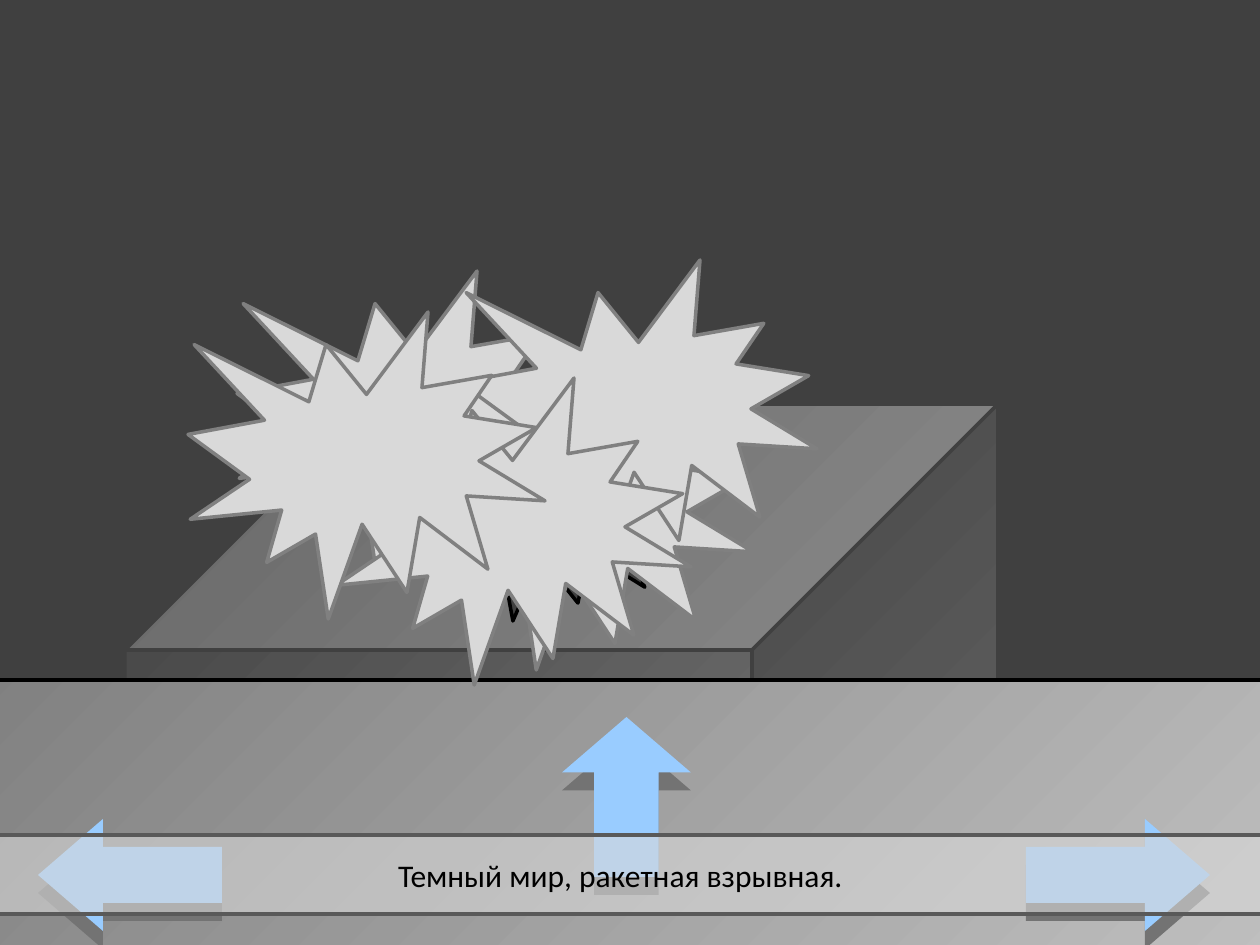
from pptx import Presentation, util as u
from pptx.dml.color import RGBColor
from pptx.enum import shapes, text
from pptx.oxml import parse_xml
from pptx.oxml.ns import nsdecls

PX = 914400 // 126
KIND = shapes.MSO_SHAPE
HUE = {
    "dark": "404040", "mid": "808080", "pale": "BFBFBF", "ash": "D9D9D9",
    "edge": "595959", "ink": "000000", "sky": "99CCFF", "depth": "737373",
}


def tint(name):
    """Return the named colour."""
    return RGBColor.from_string(HUE[name])


def add(slide, kind, box, fill, line=None):
    """Add a preset shape; a pair of fills makes a diagonal gradient."""
    item = slide.shapes.add_shape(kind, *(n * PX for n in box))
    item.shadow.inherit = False
    if isinstance(fill, tuple):
        item.fill.gradient()
        item.fill.gradient_angle = 135
        for stop, name in zip(item.fill.gradient_stops, fill):
            stop.color.rgb = tint(name)
    else:
        item.fill.solid()
        item.fill.fore_color.rgb = tint(fill)
    if line:
        item.line.color.rgb = tint(line)
        item.line.width = u.Pt(2)
    else:
        item.line.fill.background()
    return item


def room(slide, box):
    """Draw the stone block and the floor before it."""
    left, top, width, height = box
    cube = add(slide, KIND.CUBE, (left + 125, top + 404, 873, 703),
               ("mid", "dark"), "dark")
    cube.adjustments[0] = 0.35
    add(slide, KIND.RECTANGLE, (left - 35, top + 680, width + 49, 287),
        ("pale", "mid"), "ink")


def arrow(slide, kind, box, head):
    """Draw a raised arrow with its depth showing below."""
    left, top, width, height = box
    for drop, fill in ((18, "depth"), (0, "sky")):
        item = add(slide, kind, (left, top + drop, width, height), fill)
        item.adjustments[1] = head


def blast(slide, box):
    """Draw a dark burst under a cluster of equal pale bursts."""
    left, top, width, height = box
    add(slide, KIND.EXPLOSION1, (left + 209, top + 153, 295, 208),
        "dark", "ink")
    for x, y in ((49, 11), (208, 103), (272, 0), (146, 118), (0, 52)):
        add(slide, KIND.EXPLOSION1, (left + x, top + y, width, height),
            "ash", "mid")


def banner(slide, box, words):
    """Draw the translucent caption strip."""
    strip = add(slide, KIND.RECTANGLE, box, "ash", "edge")
    shade = strip.fill._xPr.find(".//{*}solidFill/{*}srgbClr")
    shade.append(parse_xml(f'<a:alpha {nsdecls("a")} val="60000"/>'))
    frame = strip.text_frame
    frame.text = words
    frame.word_wrap = True
    frame.vertical_anchor = text.MSO_ANCHOR.MIDDLE
    para = frame.paragraphs[0]
    para.alignment = text.PP_ALIGN.CENTER
    font = para.runs[0].font
    font.name = "Calibri"
    font.size = u.Pt(18)
    font.color.rgb = tint("ink")


def main():
    """Build and save the slide."""
    deck = Presentation()
    deck.slide_width, deck.slide_height = 1260 * PX, 945 * PX
    slide = deck.slides.add_slide(deck.slide_layouts[6])
    back = slide.background.fill
    back.solid()
    back.fore_color.rgb = tint("dark")
    room(slide, (0, 0, 1260, 945))
    arrow(slide, KIND.LEFT_ARROW, (38, 819, 184, 112), 0.58)
    arrow(slide, KIND.RIGHT_ARROW, (1026, 819, 184, 112), 0.58)
    arrow(slide, KIND.UP_ARROW, (562, 717, 129, 160), 0.43)
    blast(slide, (188, 260, 357, 307))
    banner(slide, (-49, 835, 1339, 79), "Темный мир, ракетная взрывная.")
    deck.save("out.pptx")


if __name__ == "__main__":
    main()
